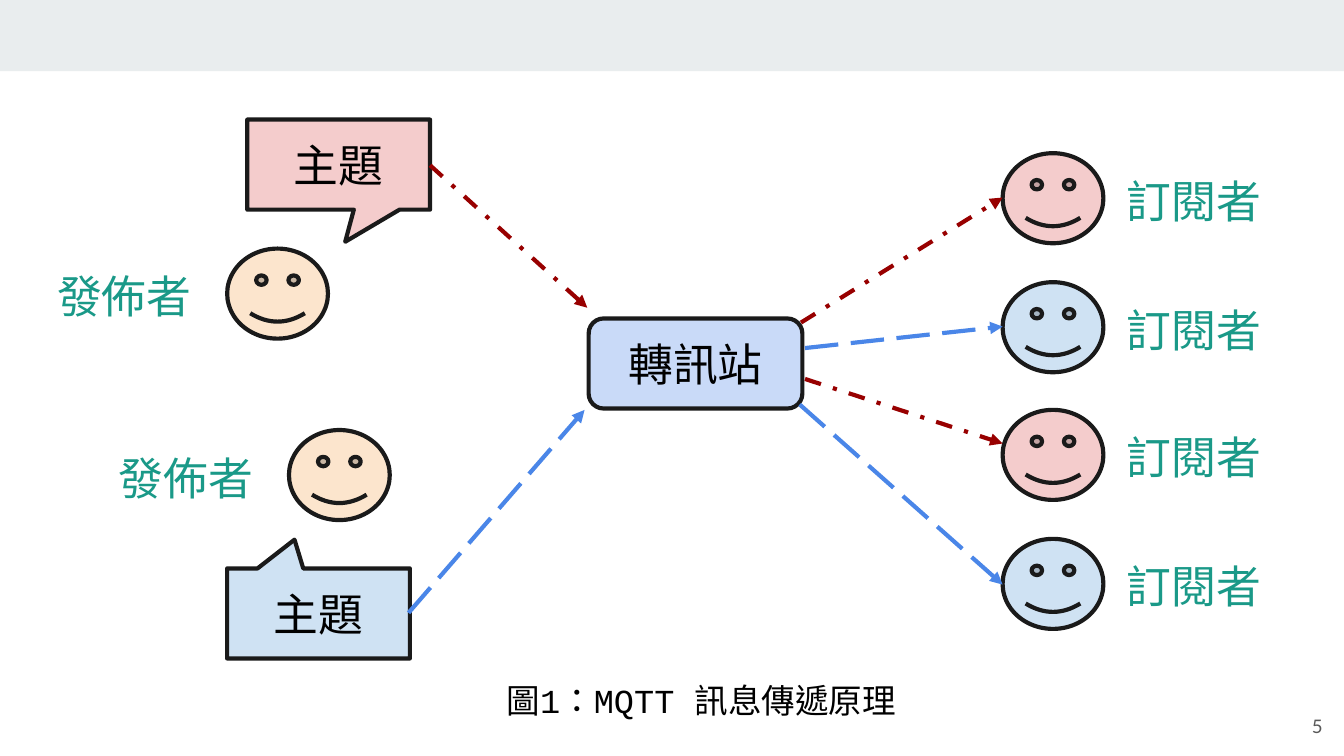
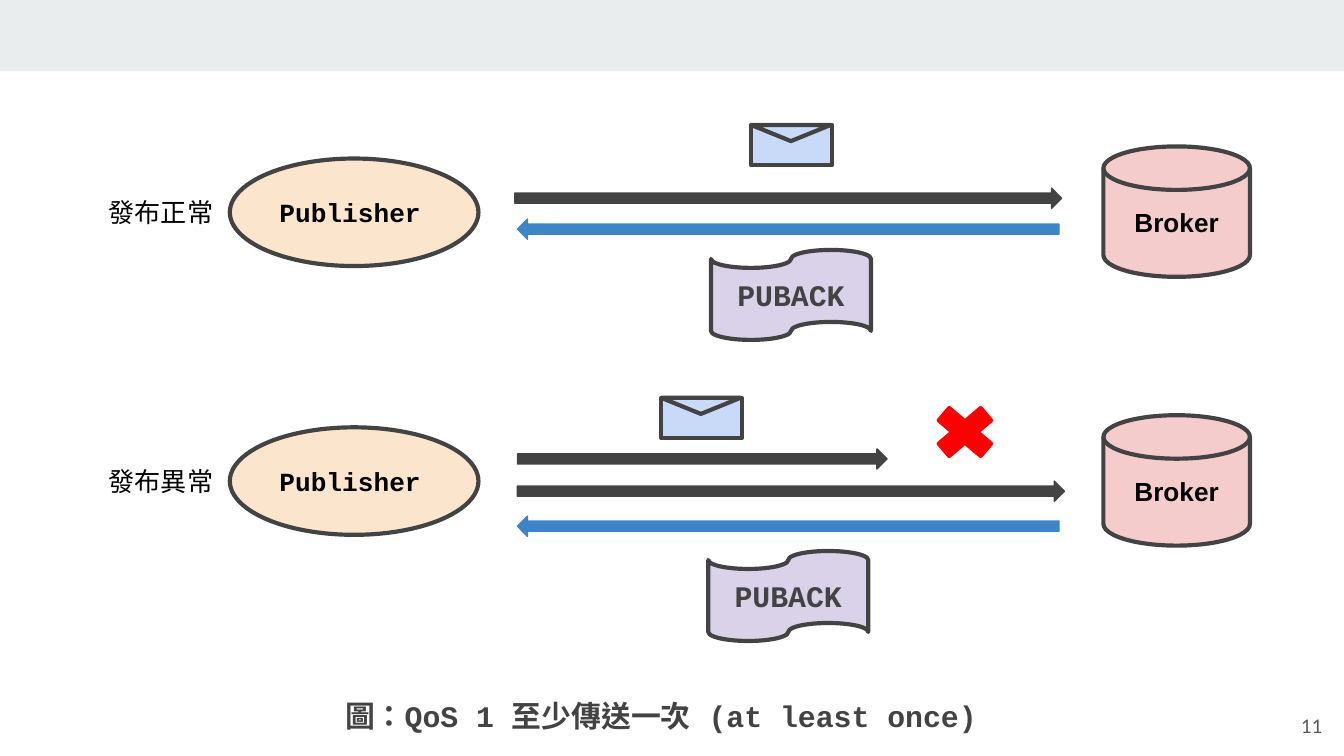
from lxml.etree import SubElement as Sub
from pptx import Presentation
from pptx.dml.color import RGBColor as Rgb
from pptx.enum.dml import MSO_LINE as Dash
from pptx.enum.shapes import MSO_CONNECTOR as Link, MSO_SHAPE as Kind
from pptx.enum.text import MSO_ANCHOR as Anchor, MSO_AUTO_SIZE as Fit, PP_ALIGN as Align
from pptx.oxml.ns import qn
from pptx.util import Inches, Pt

HEX = {
    "band": "E9EDEE", "ink": "1A1A1A", "black": "000000", "dark": "434343",
    "gray": "595959", "teal": "1A9988", "pink": "F4CCCC", "sky": "CFE2F3",
    "cream": "FCE5CD", "pale": "C9DAF8", "lilac": "D9D2E9", "wine": "980000",
    "blue": "4A86E8", "steel": "3D85C6", "red": "FF0000",
}
MONO, SANS, LATO = "Courier New", "Arial", "Lato"

# Slide 1: who sends, who reads, and the paths between
SENDERS = [(1.69, 1.85), (2.15, 3.2)]
READERS = [("pink", 1.14), ("sky", 2.1), ("pink", 3.05), ("sky", 4.01)]
TOPICS = [
    (1.84, 0.89, "pink", (0.036, 0.857, 0)),
    (1.69, 4.23, "sky", (-0.131, -0.82, 0)),
]
FACE = (0.75, 0.67)
READ_X = 7.46
STYLES = {"pink": ("wine", Dash.DASH_DOT), "sky": ("blue", Dash.LONG_DASH)}
PATHS = [
    ("pink", (3.2, 1.23), (4.37, 2.29)),
    ("sky", (3.04, 4.56), (4.35, 3.05)),
    ("pink", (5.96, 2.4), (READ_X, 1.47)),
    ("pink", (5.99, 2.82), (READ_X, 3.3)),
    ("sky", (5.99, 2.59), (READ_X, 2.43)),
    ("sky", (5.95, 3.01), (READ_X, 4.35)),
]

# Slide 2: one dict per case; arrows are (kind, x, y, width, colour)
CASES = [
    {"label": "發布正常", "mail": (5.59, 0.93), "ack": (5.29, 1.86), "arrows": [
        (Kind.RIGHT_ARROW, 3.83, 1.4, 4.07, "dark"),
        (Kind.LEFT_ARROW, 3.85, 1.63, 4.03, "steel")]},
    {"label": "發布異常", "mail": (4.92, 2.96), "ack": (5.27, 4.1), "arrows": [
        (Kind.RIGHT_ARROW, 3.85, 3.34, 2.75, "dark"),
        (Kind.RIGHT_ARROW, 3.85, 3.58, 4.07, "dark"),
        (Kind.LEFT_ARROW, 3.85, 3.84, 4.03, "steel")]},
]
CASE_STEP = 2.0


def tone(name):
    return Rgb.from_string(HEX[name])


def write(shape, text, size, font, color, bold=False, align=Align.CENTER,
          anchor=Anchor.MIDDLE, after=None, lead=None):
    frame = shape.text_frame
    frame.word_wrap = True
    frame.vertical_anchor = anchor
    for side in ("left", "right", "top", "bottom"):
        setattr(frame, f"margin_{side}", Inches(0.1))
    para = frame.paragraphs[0]
    para.alignment = align
    if after:
        para.space_after = Pt(after)
    if lead:
        para.line_spacing = lead
    run = para.add_run()
    run.text = text
    run.font.size, run.font.bold, run.font.name = Pt(size), bold, font
    run.font.color.rgb = tone(color)
    # East Asian letters use the same font, with Taiwanese punctuation
    props = run.font._element
    props.set("lang", "zh-TW")
    Sub(props, qn("a:ea"), typeface=font)


def draw(slide, kind, box, fill, line=None, width=2.25, adjust=()):
    shape = slide.shapes.add_shape(kind, *map(Inches, box))
    shape.shadow.inherit = False
    shape.fill.solid()
    shape.fill.fore_color.rgb = tone(fill)
    if line:
        shape.line.color.rgb = tone(line)
        shape.line.width = Pt(width)
    else:
        shape.line.fill.background()
    for i, value in enumerate(adjust):
        shape.adjustments[i] = value
    return shape


def label(slide, box, text, size, font, color, anchor=Anchor.TOP, **style):
    shape = slide.shapes.add_textbox(*map(Inches, box))
    write(shape, text, size, font, color, anchor=anchor, **style)
    if anchor == Anchor.TOP:
        shape.text_frame.auto_size = Fit.SHAPE_TO_FIT_TEXT


def arrow(slide, topic, start, end):
    color, dash = STYLES[topic]
    link = slide.shapes.add_connector(Link.STRAIGHT, *map(Inches, start + end))
    link.line.color.rgb = tone(color)
    link.line.width = Pt(2.25)
    link.line.dash_style = dash
    Sub(link.line._get_or_add_ln(), qn("a:tailEnd"), type="triangle")
    Sub(link._element.spPr, qn("a:effectLst"))


def face(slide, x, y, fill, name, shift):
    draw(slide, Kind.SMILEY_FACE, (x, y, *FACE), fill, "ink")
    label(slide, (x + shift, y + 0.05, 1.21, 0.61), name, 24, MONO, "teal")


def envelope(slide, x, y):
    draw(slide, Kind.RECTANGLE, (x, y, 0.6, 0.3), "pale", "dark")
    flap = draw(slide, Kind.ISOSCELES_TRIANGLE, (x, y, 0.59, 0.12), "pale", "dark")
    flap.rotation = 180


def start(deck, number):
    slide = deck.slides.add_slide(deck.slide_layouts[6])
    draw(slide, Kind.RECTANGLE, (0, 0, 10, 0.53), "band")
    label(slide, (9.34, 5.19, 0.6, 0.43), number, 10, LATO, "gray",
          anchor=Anchor.MIDDLE, align=Align.RIGHT)
    return slide


def build_flow(deck):
    slide = start(deck, "5")
    hub = draw(slide, Kind.ROUNDED_RECTANGLE, (4.38, 2.37, 1.59, 0.67), "pale", "ink")
    write(hub, "轉訊站", 24, MONO, "black")
    for fill, y in READERS:
        face(slide, READ_X, y, fill, "訂閱者", 0.82)
    for x, y in SENDERS:
        face(slide, x, y, "cream", "發佈者", -1.37)
    for x, y, fill, adjust in TOPICS:
        topic = draw(slide, Kind.ROUNDED_RECTANGULAR_CALLOUT, (x, y, 1.36, 0.67),
                     fill, "ink", adjust=adjust)
        write(topic, "主題", 24, SANS, "black")
    for path in PATHS:
        arrow(slide, *path)
    label(slide, (3.67, 4.96, 3.27, 0.5), "圖1：MQTT 訊息傳遞原理", 18, MONO,
          "black", align=Align.LEFT, after=8)


def build_qos(deck):
    slide = start(deck, "11")
    for i, case in enumerate(CASES):
        drop = i * CASE_STEP
        label(slide, (0.71, 1.36 + drop, 1.11, 0.44), case["label"], 14, LATO,
              "black", align=Align.LEFT)
        sender = draw(slide, Kind.OVAL, (1.71, 1.18 + drop, 1.85, 0.8), "cream", "dark")
        write(sender, "Publisher", 14, MONO, "black", bold=True, align=Align.LEFT)
        broker = draw(slide, Kind.FLOWCHART_MAGNETIC_DISK,
                      (8.21, 1.09 + drop, 1.09, 0.97), "pink", "dark")
        write(broker, "Broker", 14, SANS, "black", bold=True)
        for kind, x, y, width, color in case["arrows"]:
            draw(slide, kind, (x, y, width, 0.15), color, color, 0.75)
        envelope(slide, *case["mail"])
        ack = draw(slide, Kind.FLOWCHART_PUNCHED_TAPE, (*case["ack"], 1.19, 0.67),
                   "lilac", "dark")
        write(ack, "PUBACK", 16, MONO, "dark", bold=True)
    # Lost message mark
    draw(slide, Kind.MATH_MULTIPLY, (6.88, 2.96, 0.6, 0.51), "red", "red")
    label(slide, (2.47, 4.96, 5.06, 0.47), "圖：QoS 1 至少傳送一次 (at least once)",
          16, MONO, "dark", bold=True, align=Align.LEFT, after=10, lead=1.5)


def main():
    deck = Presentation()
    # Widescreen, 16 to 9
    deck.slide_width = Inches(10)
    deck.slide_height = deck.slide_width * 9 // 16
    build_flow(deck)
    build_qos(deck)
    deck.save("out.pptx")


if __name__ == "__main__":
    main()
